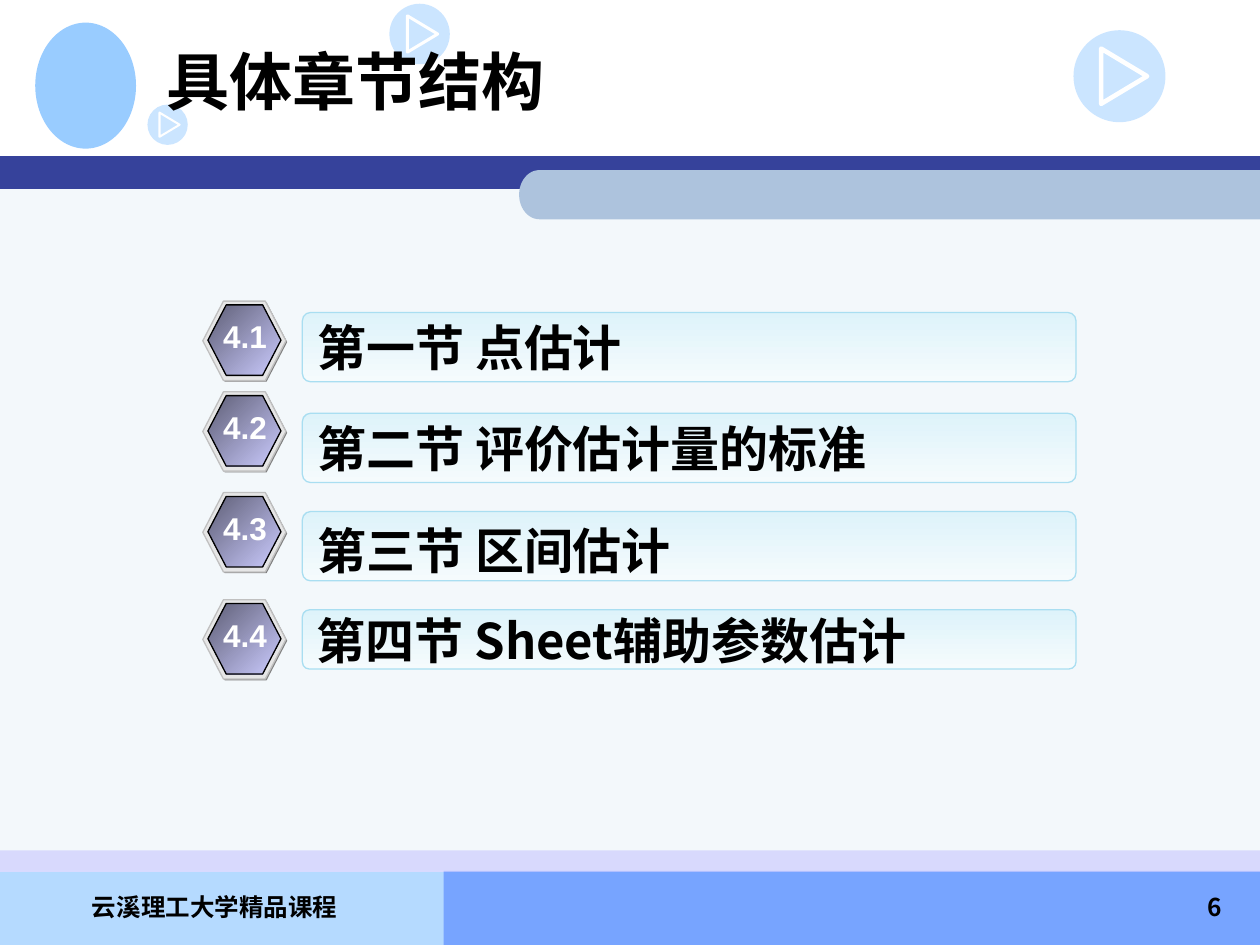
from dataclasses import dataclass
from math import cos, pi, sin

from lxml import etree
from pptx import Presentation
from pptx.dml.color import RGBColor
from pptx.enum.shapes import MSO_SHAPE
from pptx.enum.text import MSO_ANCHOR, PP_ALIGN
from pptx.oxml.ns import qn
from pptx.util import Inches, Pt

RECTANGLE = MSO_SHAPE.RECTANGLE
ROUNDED = MSO_SHAPE.ROUNDED_RECTANGLE
HEXAGON = MSO_SHAPE.HEXAGON
OVAL = MSO_SHAPE.OVAL
TOP, MIDDLE = MSO_ANCHOR.TOP, MSO_ANCHOR.MIDDLE
LEFT, CENTER, RIGHT = PP_ALIGN.LEFT, PP_ALIGN.CENTER, PP_ALIGN.RIGHT
CJK_FONT = "Noto Sans CJK SC"


@dataclass(frozen=True)
class Area:
    left: float
    top: float
    width: float
    height: float

    def lengths(self) -> list:
        return [Inches(v) for v in (self.left, self.top, self.width, self.height)]


@dataclass(frozen=True)
class Paint:
    fill: str
    end: str = ""
    angle: int = 0
    alpha: int = 100
    line: str = ""


@dataclass(frozen=True)
class Writing:
    size: int
    font: str = CJK_FONT
    color: str = "000000"
    align: PP_ALIGN = LEFT
    anchor: MSO_ANCHOR = TOP
    wrap: bool = True


@dataclass(frozen=True)
class Section:
    number: str
    title: str
    badge_top: float
    bar_top: float
    bar_height: float = 0.55
    anchor: MSO_ANCHOR = MIDDLE


@dataclass(frozen=True)
class PlayIcon:
    left: float
    top: float
    size: float


BANDS = [
    (Area(0, 6.92, 4.25, 0.58), Paint("B5DAFF")),
    (Area(3.52, 6.91, 6.48, 0.59), Paint("77A4FF")),
    (Area(0, 1.4, 10, 5.51), Paint("F3F8FB")),
    (Area(0, 1.24, 10, 0.26), Paint("36429B")),
    (Area(0, 6.75, 10, 0.17), Paint("CCCCFF", alpha=69)),
]
ICONS = [PlayIcon(3.09, 0.03, 0.48), PlayIcon(8.52, 0.24, 0.73), PlayIcon(1.17, 0.83, 0.32)]
BADGE_LAYERS = [
    (Area(0.01, 0.01, 0.66, 0.63), Paint("808080")),
    (Area(0, 0, 0.66, 0.63), Paint("E6E6E6", line="C0C0C0")),
    (Area(0.04, 0.03, 0.58, 0.56), Paint("5E5E76", "CCCCFF", 45, line="000000")),
]
BADGE_LEFT = 1.61
BAR_PAINT = Paint("DEF3FA", "F5FBFD", 90, line="A9DEF1")
SECTIONS = [
    Section("4.1", "第一节 点估计", 2.39, 2.48),
    Section("4.2", "第二节 评价估计量的标准", 3.11, 3.28),
    Section("4.3", "第三节 区间估计", 3.91, 4.06, anchor=TOP),
    Section("4.4", "第四节 Sheet辅助参数估计", 4.76, 4.84, 0.47),
]
CAPTIONS = [
    (Area(0.12, 7.03, 3.17, 0.5), "云溪理工大学精品课程",
     Writing(14, "Noto Sans CJK KR", align=CENTER)),
    (Area(7.72, 7.03, 2.08, 0.5), "6", Writing(14, align=RIGHT)),
    (Area(1.22, 0.05, 8.5, 1.17), "具体章节结构", Writing(36, anchor=MIDDLE)),
]


def color(code: str) -> RGBColor:
    return RGBColor.from_string(code)


def paint(shape, style: Paint) -> None:
    shape.shadow.inherit = False
    if style.end:
        shape.fill.gradient()
        shape.fill.gradient_angle = 360 - style.angle
        for stop, code in zip(shape.fill.gradient_stops, (style.fill, style.end)):
            stop.color.rgb = color(code)
    else:
        shape.fill.solid()
        shape.fill.fore_color.rgb = color(style.fill)
    if style.alpha < 100:
        tone = shape._element.spPr.find(qn("a:solidFill"))[0]
        etree.SubElement(tone, qn("a:alpha"), val=str(style.alpha * 1000))
    if style.line:
        shape.line.color.rgb = color(style.line)
        shape.line.width = Pt(0.75)
    else:
        shape.line.fill.background()


def add_figure(shapes, kind: MSO_SHAPE, area: Area, style: Paint):
    shape = shapes.add_shape(kind, *area.lengths())
    paint(shape, style)
    return shape


def add_outline(shapes, points: list[tuple[float, float]]):
    corners = [(Inches(x), Inches(y)) for x, y in points]
    builder = shapes.build_freeform(*corners[0])
    builder.add_line_segments(corners[1:], close=True)
    return builder.convert_to_shape()


def write(shape, text: str, style: Writing) -> None:
    frame = shape.text_frame
    para = frame.paragraphs[0]
    span = para.add_run()
    span.text = text
    formats = {
        frame: {"word_wrap": style.wrap, "vertical_anchor": style.anchor},
        para: {"alignment": style.align},
        span.font: {"size": Pt(style.size), "bold": True, "name": style.font},
    }
    for target, values in formats.items():
        for name, value in values.items():
            setattr(target, name, value)
    span.font.color.rgb = color(style.color)
    etree.SubElement(span._r.get_or_add_rPr(), qn("a:ea"), typeface=style.font)


def add_caption(shapes, area: Area, text: str, style: Writing) -> None:
    write(shapes.add_textbox(*area.lengths()), text, style)


def add_header_tab(shapes) -> None:
    left, top, right, height, radius = 4.12, 1.35, 10, 0.39, 0.16
    middle = top + height / 2
    angles = [pi / 2 + pi * step / 24 for step in range(25)]
    curve = [(left + radius + radius * cos(a), middle - height / 2 * sin(a)) for a in angles]
    tab = add_outline(shapes, [(right, top), *curve, (right, top + height)])
    paint(tab, Paint("ADC3DD"))


def add_play_icon(shapes, icon: PlayIcon) -> None:
    area = Area(icon.left, icon.top, icon.size, icon.size)
    add_figure(shapes, OVAL, area, Paint("99CCFF", alpha=50))
    corners = [(0.3, 0.2), (0.8, 0.5), (0.3, 0.8)]
    arrow = add_outline(
        shapes, [(icon.left + x * icon.size, icon.top + y * icon.size) for x, y in corners])
    arrow.shadow.inherit = False
    arrow.fill.background()
    arrow.line.color.rgb = color("FFFFFF")
    arrow.line.width = Inches(0.05 * icon.size)
    etree.SubElement(arrow.line._get_or_add_ln(), qn("a:round"))


def add_section(shapes, section: Section) -> None:
    badge = shapes.add_group_shape()
    for layer, style in BADGE_LAYERS:
        area = Area(BADGE_LEFT + layer.left, section.badge_top + layer.top,
                    layer.width, layer.height)
        add_figure(badge.shapes, HEXAGON, area, style).adjustments[0] = 0.26
    add_caption(shapes, Area(1.67, section.badge_top + 0.08, 0.55, 0.4), section.number,
                Writing(18, "Arial", "FFFFFF", CENTER, wrap=False))
    bar = add_figure(shapes, ROUNDED, Area(2.4, section.bar_top, 6.14, section.bar_height),
                     BAR_PAINT)
    bar.adjustments[0] = 0.12
    write(bar, section.title, Writing(28, anchor=section.anchor))


def main() -> None:
    deck = Presentation()
    deck.slide_width, deck.slide_height = Inches(10), Inches(7.5)
    page = deck.slides.add_slide(deck.slide_layouts[6])
    shapes = page.shapes
    for area, style in BANDS:
        add_figure(shapes, RECTANGLE, area, style)
    add_header_tab(shapes)
    add_figure(shapes, OVAL, Area(0.28, 0.18, 0.8, 1), Paint("99CCFF"))
    for icon in ICONS:
        add_play_icon(shapes, icon)
    for section in SECTIONS:
        add_section(shapes, section)
    for area, text, style in CAPTIONS:
        add_caption(shapes, area, text, style)
    deck.save("out.pptx")


if __name__ == "__main__":
    main()
